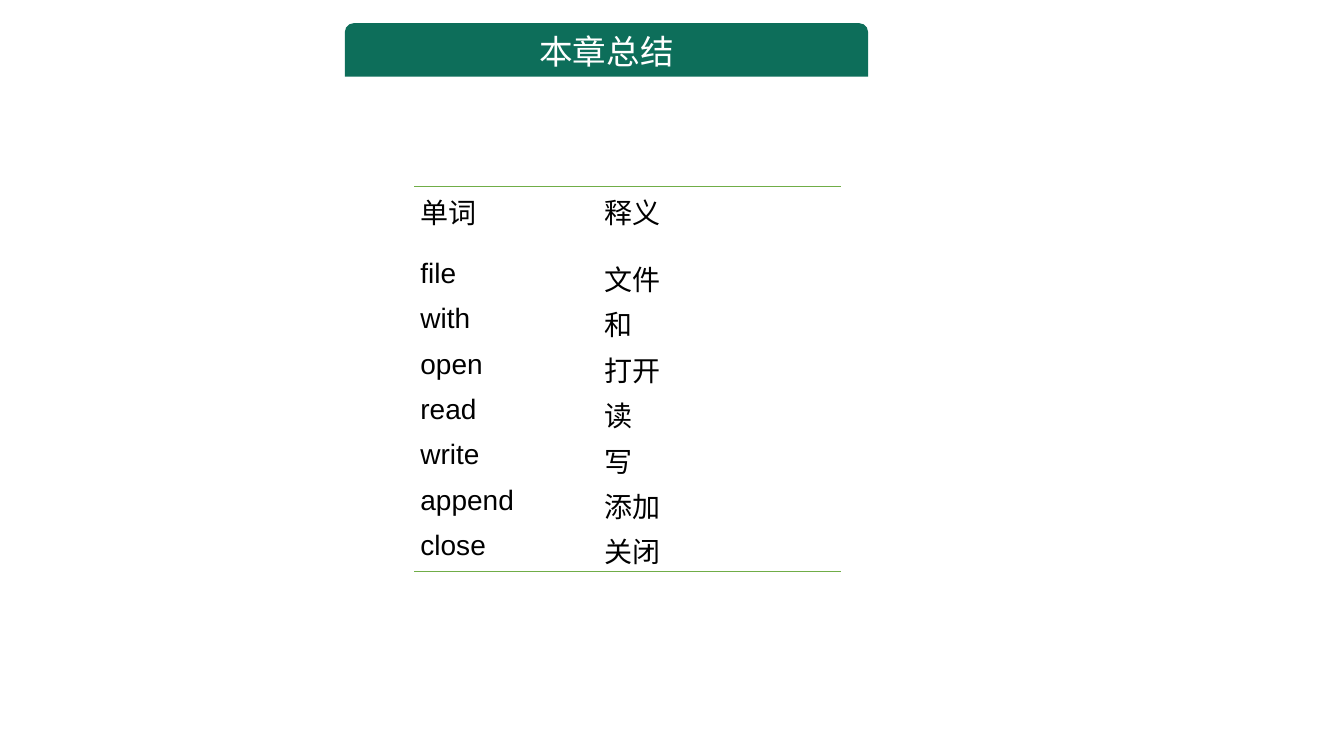
from lxml import etree
from pptx import Presentation
from pptx.dml.color import RGBColor
from pptx.enum.shapes import MSO_SHAPE
from pptx.enum.text import MSO_ANCHOR, PP_ALIGN
from pptx.oxml.ns import qn
from pptx.util import Inches, Pt

BANNER_SHAPE = MSO_SHAPE.ROUND_2_SAME_RECTANGLE
MIDDLE = MSO_ANCHOR.MIDDLE
TOP = MSO_ANCHOR.TOP
CENTER = PP_ALIGN.CENTER
LEFT = PP_ALIGN.LEFT

FONT = "Arial"
BANNER_GREEN = "0D6E5A"
RULE_GREEN = "70AD47"
BLACK = "000000"
WHITE = "FFFFFF"

VOCABULARY = [
    ("单词", "释义"),
    ("file", "文件"),
    ("with", "和"),
    ("open", "打开"),
    ("read", "读"),
    ("write", "写"),
    ("append", "添加"),
    ("close", "关闭"),
]
COLUMN_WIDTHS = [1.83, 2.4]
HEADER_HEIGHT = 0.67
WORD_HEIGHT = 0.45
SIDE_INSET = 0.06
TOP_INSET = 0.04


def color(hex_value):
    return RGBColor.from_string(hex_value)


def write_text(frame, text, size, hex_value, align):
    paragraph = frame.paragraphs[0]
    paragraph.alignment = align
    run = paragraph.add_run()
    run.text = text
    run.font.name = FONT
    run.font.size = Pt(size)
    run.font.bold = False
    run.font.color.rgb = color(hex_value)


def add_banner(slide, text):
    banner = slide.shapes.add_shape(
        BANNER_SHAPE, Inches(3.42), Inches(0.23), Inches(5.19), Inches(0.53)
    )
    banner.shadow.inherit = False
    banner.fill.solid()
    banner.fill.fore_color.rgb = color(BANNER_GREEN)
    banner.line.fill.background()
    banner.text_frame.vertical_anchor = MIDDLE
    write_text(banner.text_frame, text, 24, WHITE, CENTER)


def set_borders(cell, ruled_sides):
    properties = cell._tc.get_or_add_tcPr()
    for position, side in enumerate(("lnL", "lnR", "lnT", "lnB")):
        border = etree.Element(qn(f"a:{side}"), w=str(Pt(1)))
        if side in ruled_sides:
            fill = etree.SubElement(border, qn("a:solidFill"))
            etree.SubElement(fill, qn("a:srgbClr"), val=RULE_GREEN)
        else:
            etree.SubElement(border, qn("a:noFill"))
        properties.insert(position, border)


def fill_cell(cell, text, ruled_sides):
    cell.fill.background()
    cell.vertical_anchor = TOP
    cell.margin_left = cell.margin_right = Inches(SIDE_INSET)
    cell.margin_top = Inches(TOP_INSET)
    cell.margin_bottom = Inches(0)
    write_text(cell.text_frame, text, 20, BLACK, LEFT)
    set_borders(cell, ruled_sides)


def add_vocabulary(slide, entries):
    last = len(entries) - 1
    height = HEADER_HEIGHT + last * WORD_HEIGHT
    table = slide.shapes.add_table(
        len(entries), len(COLUMN_WIDTHS), Inches(4.11), Inches(1.85),
        Inches(sum(COLUMN_WIDTHS)), Inches(height),
    ).table
    table.first_row = False
    table.horz_banding = False
    for column, width in zip(table.columns, COLUMN_WIDTHS):
        column.width = Inches(width)
    for index, entry in enumerate(entries):
        table.rows[index].height = Inches(WORD_HEIGHT if index else HEADER_HEIGHT)
        ruled_sides = {0: ["lnT"], last: ["lnB"]}.get(index, [])
        for column, text in enumerate(entry):
            fill_cell(table.cell(index, column), text, ruled_sides)


def main():
    presentation = Presentation()
    presentation.slide_width = Inches(13.33)
    presentation.slide_height = Inches(7.5)
    slide = presentation.slides.add_slide(presentation.slide_layouts[6])
    add_banner(slide, "本章总结")
    add_vocabulary(slide, VOCABULARY)
    presentation.save("out.pptx")


if __name__ == "__main__":
    main()
